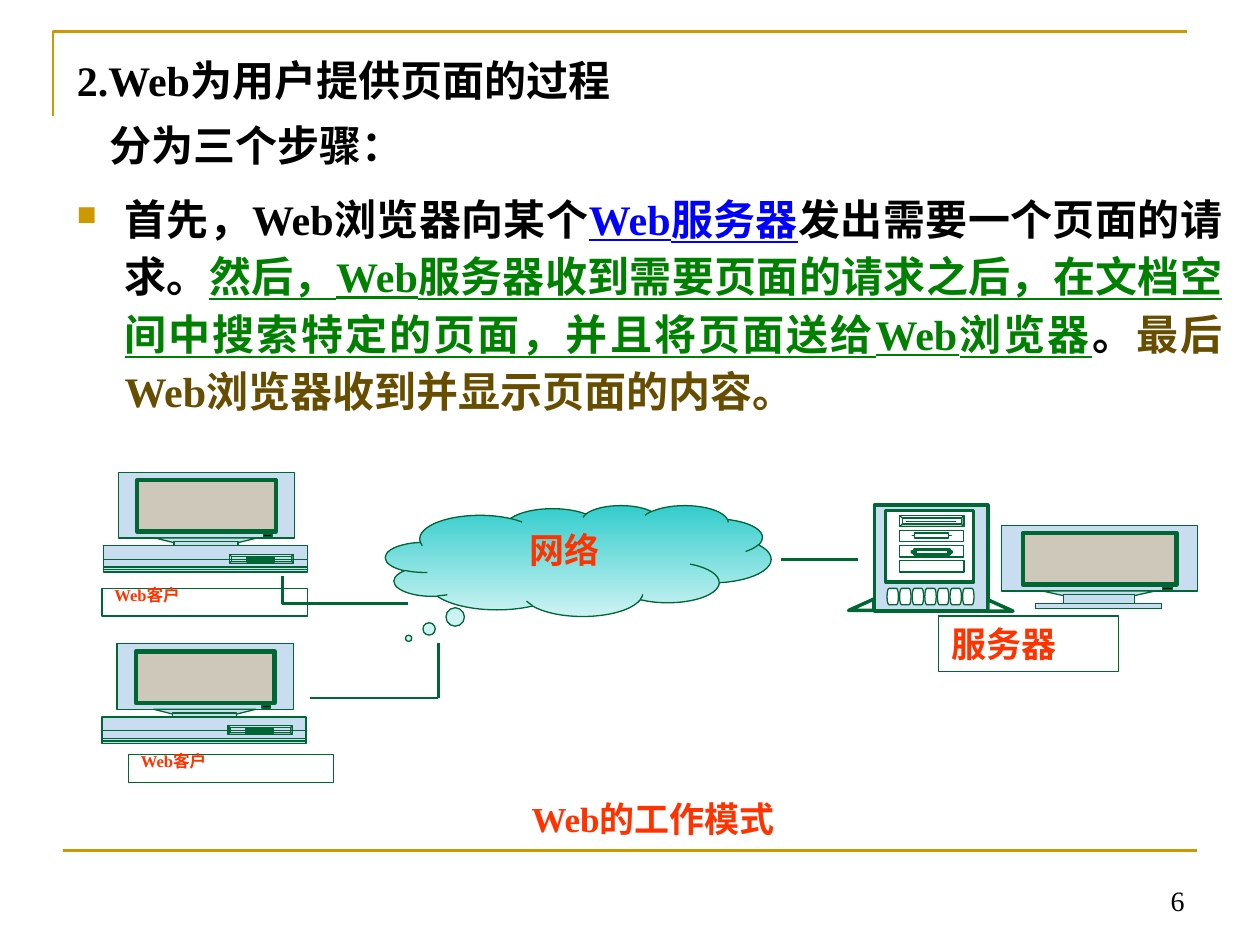
from lxml.etree import SubElement
from pptx import Presentation
from pptx.dml.color import RGBColor
from pptx.enum.shapes import MSO_CONNECTOR, MSO_SHAPE
from pptx.enum.text import MSO_ANCHOR, PP_ALIGN
from pptx.oxml.ns import qn
from pptx.util import Inches, Pt

COLORS = {
    "gold": "CC9900", "black": "000000", "white": "FFFFFF", "blue": "0000FF",
    "green": "008000", "brown": "664D00", "red": "FF3300", "outline": "006633",
    "case": "C9DDF1", "screen": "CEC8BA", "cloud_top": "33CCCC", "cloud_bottom": "CDF3F3",
}
FONT = "Times New Roman"

TITLE = "2.Web为用户提供页面的过程"
SUBTITLE = "分为三个步骤："
STEPS = [  # text, colour, underlined
    ("首先，Web浏览器向某个", "black", False),
    ("Web服务器", "blue", True),
    ("发出需要一个页面的请求。", "black", False),
    ("然后，Web服务器收到需要页面的请求之后，在文档空间中搜索特定的页面，并且将页面送给Web浏览器",
     "green", True),
    ("。", "black", False),
    ("最后Web浏览器收到并显示页面的内容。", "brown", False),
]
CLIENTS = [(0.82, 3.75), (0.81, 5.11)]
CLIENT_LABELS = [(0.81, 4.67), (1.02, 5.99)]
WIRES = [(2.46, 5.54, 3.48, 5.54), (3.48, 5.54, 3.48, 5.1), (6.2, 4.44, 6.81, 4.44)]


def rgb(color):
    return RGBColor.from_string(COLORS[color])


def add_part(shapes, kind, left, top, width, height, fill="case", weight=0.75, line="outline"):
    part = shapes.add_shape(kind, Inches(left), Inches(top), Inches(width), Inches(height))
    part.shadow.inherit = False
    if fill:
        part.fill.solid()
        part.fill.fore_color.rgb = rgb(fill)
    else:
        part.fill.background()
    part.line.color.rgb = rgb(line)
    part.line.width = Pt(weight)
    return part


def add_line(shapes, x1, y1, x2, y2, weight=0.75, color="outline", kind=MSO_CONNECTOR.STRAIGHT):
    line = shapes.add_connector(kind, Inches(x1), Inches(y1), Inches(x2), Inches(y2))
    line.line.color.rgb = rgb(color)
    line.line.width = Pt(weight)
    SubElement(line._element.spPr, qn("a:effectLst"))
    return line


def format_run(run, size, color, bold=True):
    run.font.name, run.font.size, run.font.bold = FONT, Pt(size), bold
    run.font.color.rgb = rgb(color)


def write(holder, text, size, color="red", align=PP_ALIGN.LEFT, bold=True,
          margins=(0.1, 0.05, 0.1, 0.05), anchor=MSO_ANCHOR.TOP, wrap=True):
    frame = holder.text_frame
    frame.text = text
    frame.word_wrap = wrap
    frame.vertical_anchor = anchor
    (frame.margin_left, frame.margin_top,
     frame.margin_right, frame.margin_bottom) = map(Inches, margins)
    paragraph = frame.paragraphs[0]
    paragraph.alignment = align
    for run in paragraph.runs:
        format_run(run, size, color, bold)
    return paragraph


def add_text(slide, left, top, width, height, text, size, **options):
    box = slide.shapes.add_textbox(Inches(left), Inches(top), Inches(width), Inches(height))
    return write(box, text, size, "black", **options)


def add_monitor(shapes, left, top, scale=1, stand=0.03):
    """Draw a monitor whose widths are stretched by scale."""
    parts = [  # kind, x, y, width, height, fill, weight
        (MSO_SHAPE.RECTANGLE, 0, 0, 1.4, 0.52, "case", 0.75),
        (MSO_SHAPE.RECTANGLE, 0.15, 0.06, 1.1, 0.41, "screen", 2.5),
        (MSO_SHAPE.FLOWCHART_MANUAL_OPERATION, 0.29, 0.52, 0.81, 0.04, "case", 0.75),
        (MSO_SHAPE.RECTANGLE, 0.44, 0.55, 0.51, stand, "case", 0.75),
        (MSO_SHAPE.RECTANGLE, 1.15, 0.49, 0.07, 0.02, "black", 0.75),
    ]
    for kind, x, y, width, height, fill, weight in parts:
        add_part(shapes, kind, left + x * scale, top + y, width * scale, height, fill, weight)


def add_client(slide, left, top):
    shapes = slide.shapes.add_group_shape().shapes
    add_monitor(shapes, left + 0.12, top)
    add_part(shapes, MSO_SHAPE.RECTANGLE, left, top + 0.58, 1.62, 0.21)
    add_part(shapes, MSO_SHAPE.BEVEL, left + 1, top + 0.65, 0.51, 0.07).adjustments[0] = 0.22
    for y in (0.69, 0.75, 0.77):
        add_line(shapes, left, top + y, left + 1.62, top + y)
    add_part(shapes, MSO_SHAPE.RECTANGLE, left + 1.14, top + 0.67, 0.22, 0.04)
    add_line(shapes, left + 1.14, top + 0.69, left + 1.36, top + 0.69, 2)


def add_server(slide):
    shapes = slide.shapes.add_group_shape().shapes
    add_part(shapes, MSO_SHAPE.RECTANGLE, 6.94, 4.01, 0.9, 0.84, weight=2)
    add_part(shapes, MSO_SHAPE.RIGHT_TRIANGLE, 7.84, 4.76, 0.2, 0.09, "white", 2)
    add_part(shapes, MSO_SHAPE.RIGHT_TRIANGLE, 6.79, 4.7, 0.09, 0.2, "white", 2).rotation = 270
    add_part(shapes, MSO_SHAPE.RECTANGLE, 7.03, 4.05, 0.7, 0.57, "white", 1.75)
    for i in range(7):
        add_part(shapes, MSO_SHAPE.FLOWCHART_TERMINATOR, 7.04 + 0.1 * i, 4.67, 0.09, 0.13, "white")
    bays = [MSO_SHAPE.BEVEL, MSO_SHAPE.RECTANGLE, MSO_SHAPE.RECTANGLE,
            MSO_SHAPE.FLOWCHART_PROCESS]
    for i, kind in enumerate(bays):
        bay = add_part(shapes, kind, 7.14, 4.09 + 0.12 * i, 0.51, 0.09, "white")
        if kind == MSO_SHAPE.BEVEL:
            bay.adjustments[0] = 0.23
    add_line(shapes, 7.19, 4.14, 7.59, 4.14)
    for top, weight in ((4.23, 0.75), (4.36, 2)):
        add_part(shapes, MSO_SHAPE.CROSS, 7.24, top, 0.31, 0.04, "white", weight).adjustments[0] = 0.5
    add_monitor(shapes, 7.95, 4.17, scale=1.11, stand=0.07)
    add_part(shapes, MSO_SHAPE.RECTANGLE, 8.22, 4.79, 1, 0.04)


def add_cloud(slide):
    cloud = add_part(slide.shapes, MSO_SHAPE.CLOUD_CALLOUT, 3.06, 4.01, 3.06, 0.88)
    cloud.adjustments[0], cloud.adjustments[1] = -0.44, 0.7
    cloud.fill.gradient()
    cloud.fill.gradient_angle = 270
    for stop, color in zip(cloud.fill.gradient_stops, ("cloud_top", "cloud_bottom")):
        stop.color.rgb = rgb(color)
    for stop, position in zip(cloud.fill.gradient_stops, (0, 1)):
        stop.position = position
    write(cloud, "网络", 20, align=PP_ALIGN.CENTER)


def add_elbow(slide):
    """Run a wire down from the first client, then right to the cloud."""
    wire = add_line(slide.shapes, 2.63, 4.18, 2.85, 5.18, 1.5, kind=MSO_CONNECTOR.ELBOW)
    properties = wire._element.spPr
    properties.find(qn("a:prstGeom")).set("prst", "bentConnector2")
    transform = properties.find(qn("a:xfrm"))
    transform.set("rot", "16200000")
    transform.set("flipH", "1")


def add_steps(slide):
    steps = add_text(slide, 0.51, 1.43, 9.29, 2.1, "", 24, align=PP_ALIGN.JUSTIFY)
    steps.line_spacing = 1.14
    properties = steps._p.get_or_add_pPr()
    properties.set("marL", str(Inches(0.38)))
    properties.set("indent", str(-Inches(0.38)))
    bullet_color = SubElement(properties, qn("a:buClr"))
    SubElement(bullet_color, qn("a:srgbClr"), val=COLORS["gold"])
    SubElement(properties, qn("a:buSzPct"), val="65000")
    SubElement(properties, qn("a:buChar"), char="■")
    for text, color, underlined in STEPS:
        run = steps.add_run()
        run.text = text
        format_run(run, 24, color)
        run.font.underline = underlined


def add_frame(slide):
    builder = slide.shapes.build_freeform(Inches(0.42), Inches(0.92))
    builder.add_line_segments([(Inches(0.42), Inches(0.25)), (Inches(9.42), Inches(0.25))],
                              close=False)
    corner = builder.convert_to_shape()
    corner.shadow.inherit = False
    corner.fill.background()
    corner.line.color.rgb = rgb("gold")
    corner.line.width = Pt(1.5)
    add_line(slide.shapes, 0.5, 6.75, 9.5, 6.75, 1.5, "gold")


def main():
    deck = Presentation()
    deck.slide_width, deck.slide_height = Inches(10), Inches(7.5)
    slide = deck.slides.add_slide(deck.slide_layouts[6])
    add_frame(slide)
    add_text(slide, 0.34, 0.38, 9, 0.61, TITLE, 24, margins=(0.27, 0.05, 0.1, 0.05))
    add_steps(slide)
    add_client(slide, *CLIENTS[0])
    add_server(slide)
    server_label = add_part(slide.shapes, MSO_SHAPE.RECTANGLE, 7.45, 4.89, 1.43, 0.44, None)
    write(server_label, "服务器", 20)
    add_cloud(slide)
    add_client(slide, *CLIENTS[1])
    for left, top in CLIENT_LABELS:
        label = add_part(slide.shapes, MSO_SHAPE.RECTANGLE, left, top, 1.63, 0.22, "white")
        write(label, "Web客户", 9.5, margins=(0.1, 0, 0.1, 0.05)).line_spacing = 0.8
    add_elbow(slide)
    for wire in WIRES:
        add_line(slide.shapes, *wire, weight=1.5)
    caption = add_part(slide.shapes, MSO_SHAPE.RECTANGLE, 3.48, 6.28, 3.27, 0.44, "white", line="white")
    write(caption, "Web的工作模式", 20, align=PP_ALIGN.CENTER, margins=(0.24, 0.05, 0.1, 0.05))
    add_text(slide, 7.17, 6.83, 2.33, 0.5, "6", 16, align=PP_ALIGN.RIGHT, bold=False,
             anchor=MSO_ANCHOR.BOTTOM)
    add_text(slide, 0.77, 0.9, 2.53, 0.5, SUBTITLE, 24, wrap=False)
    deck.save("out.pptx")


if __name__ == "__main__":
    main()
